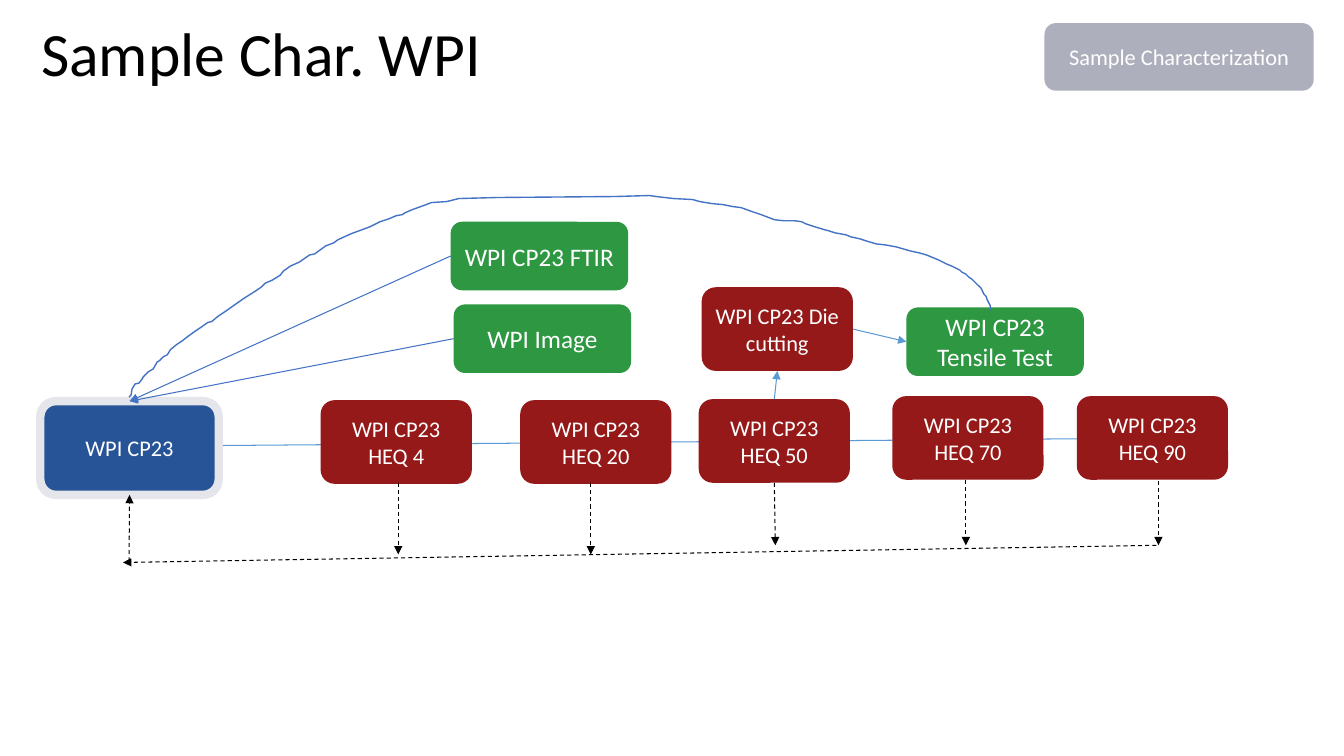
from dataclasses import dataclass
from typing import Optional

from lxml.etree import SubElement
from pptx import Presentation
from pptx.dml.color import RGBColor
from pptx.enum.dml import MSO_LINE
from pptx.enum.shapes import MSO_CONNECTOR, MSO_SHAPE
from pptx.enum.text import MSO_ANCHOR, PP_ALIGN
from pptx.oxml.ns import qn
from pptx.util import Pt

PX = 9144  # EMU in one px, at 100 px to the inch
FONT = "Calibri"

BLACK = RGBColor(0x00, 0x00, 0x00)
WHITE = RGBColor(0xFF, 0xFF, 0xFF)
NAVY = RGBColor(0x27, 0x54, 0x97)
GREEN = RGBColor(0x2D, 0x97, 0x42)
RED = RGBColor(0x95, 0x19, 0x19)
GREY = RGBColor(0xAD, 0xAF, 0xBD)
PALE = RGBColor(0xE5, 0xE6, 0xEB)
BLUE = RGBColor(0x44, 0x72, 0xC4)
SKY = RGBColor(0x5B, 0x9B, 0xD5)

TOP, LEFT, BOTTOM, RIGHT = range(4)


@dataclass
class Box:
    text: str
    x: int
    y: int
    w: int
    h: int
    fill: RGBColor
    size: int = 16
    border: Optional[RGBColor] = None


@dataclass
class Arrow:
    """An arrow; an end given as (box text, side) is joined to that box."""
    start: tuple[int, int]
    end: tuple[int, int]
    color: RGBColor
    dashed: bool = False
    join_start: Optional[tuple[str, int]] = None
    join_end: Optional[tuple[str, int]] = None


def step(text: str, x: int, y: int) -> Box:
    return Box(text, x, y, 150, 83, RED)


def measurement(text: str, x: int, y: int) -> Box:
    return Box(text, x, y, 176, 68, GREEN, 18)


SAMPLE = "WPI CP23"
FTIR, IMAGE, TENSILE = "WPI CP23 FTIR", "WPI Image", "WPI CP23 Tensile Test"
DIE, HEQ50 = "WPI CP23 Die cutting", "WPI CP23 HEQ 50"

BOXES = [
    Box(SAMPLE, 40, 398, 177, 93, NAVY, border=PALE),
    measurement(TENSILE, 899, 305),
    step("WPI CP23 HEQ 4", 318, 397),
    step(DIE, 696, 285),
    step("WPI CP23 HEQ 20", 516, 397),
    step(HEQ50, 693, 396),
    step("WPI CP23 HEQ 70", 885, 393),
    step("WPI CP23 HEQ 90", 1068, 393),
    measurement(FTIR, 447, 220),
    measurement(IMAGE, 450, 302),
    Box("Sample Characterization", 1036, 23, 267, 67, GREY),
]

BACK_ARROWS = [
    Arrow((1147, 541), (122, 558), BLACK, dashed=True),
    Arrow((220, 442), (1103, 435), SKY),
]

DROPS = [(395, 479, 550), (586, 479, 550), (958, 476, 541), (1149, 477, 541)]
FRONT_ARROWS = [
    *(Arrow((x, top), (x, bottom), BLACK, dashed=True) for x, top, bottom in DROPS),
    Arrow((769, 479), (769, 541), BLACK, True, join_start=(HEQ50, BOTTOM)),
    Arrow((128, 557), (128, 491), BLACK, True, join_end=(SAMPLE, BOTTOM)),
    Arrow((769, 396), (771, 368), SKY, join_start=(HEQ50, TOP), join_end=(DIE, BOTTOM)),
    Arrow((846, 327), (899, 339), SKY, join_start=(DIE, RIGHT), join_end=(TENSILE, LEFT)),
    Arrow((447, 254), (128, 398), BLUE, join_start=(FTIR, LEFT), join_end=(SAMPLE, TOP)),
    Arrow((450, 336), (128, 398), BLUE, join_start=(IMAGE, LEFT), join_end=(SAMPLE, TOP)),
]

RETURN_CURVE = [
    (983, 308), (982, 303), (979, 297), (978, 294), (976, 292), (973, 286), (969, 282),
    (964, 277), (961, 275), (958, 272), (954, 270), (952, 268), (944, 264), (939, 262),
    (931, 258), (919, 253), (912, 251), (903, 249), (889, 245), (878, 243), (869, 242),
    (859, 239), (853, 237), (844, 235), (839, 233), (828, 231), (822, 229), (818, 228),
    (808, 225), (799, 222), (795, 220), (788, 219), (777, 219), (768, 218), (755, 213),
    (746, 210), (735, 206), (727, 205), (717, 203), (706, 202), (694, 200), (687, 198),
    (668, 197), (651, 195), (644, 194), (610, 195), (493, 196), (455, 197), (443, 200),
    (428, 201), (420, 204), (409, 208), (402, 211), (399, 213), (393, 214), (386, 217),
    (377, 220), (367, 225), (348, 232), (335, 238), (331, 241), (323, 244), (312, 252),
    (307, 253), (297, 260), (288, 264), (281, 269), (278, 273), (270, 278), (263, 281),
    (259, 285), (253, 289), (242, 296), (232, 303), (225, 308), (216, 314), (210, 319),
    (206, 320), (199, 325), (193, 329), (186, 334), (181, 338), (175, 342), (169, 347),
    (166, 352), (162, 354), (158, 358), (156, 359), (152, 366), (147, 369), (142, 374),
    (141, 376), (138, 380), (134, 381), (131, 386), (130, 392), (128, 394),
]


def write(sp, text: str, *, size: int, color: RGBColor,
          align: PP_ALIGN = PP_ALIGN.CENTER, spacing: float = 1.0) -> None:
    tf = sp.text_frame
    tf.word_wrap = True
    tf.vertical_anchor = MSO_ANCHOR.MIDDLE
    p = tf.paragraphs[0]
    p.alignment = align
    p.line_spacing = spacing
    r = p.add_run()
    r.text = text
    r.font.name = FONT
    r.font.size = Pt(size)
    r.font.color.rgb = color


def add_box(s, box: Box):
    sp = s.shapes.add_shape(MSO_SHAPE.ROUNDED_RECTANGLE,
                            *(v * PX for v in (box.x, box.y, box.w, box.h)))
    sp.shadow.inherit = False
    sp.fill.solid()
    sp.fill.fore_color.rgb = box.fill
    if box.border is None:
        sp.line.fill.background()
    else:
        sp.line.color.rgb = box.border
        sp.line.width = Pt(6)
    write(sp, box.text, size=box.size, color=WHITE)
    return sp


def add_arrow(s, arrow: Arrow, shapes: dict) -> None:
    ends = (*arrow.start, *arrow.end)
    cxn = s.shapes.add_connector(MSO_CONNECTOR.STRAIGHT, *(v * PX for v in ends))
    if arrow.join_start:
        name, side = arrow.join_start
        cxn.begin_connect(shapes[name], side)
    if arrow.join_end:
        name, side = arrow.join_end
        cxn.end_connect(shapes[name], side)
    cxn.line.color.rgb = arrow.color
    cxn.line.width = Pt(0.75)
    if arrow.dashed:
        cxn.line.dash_style = MSO_LINE.DASH
    SubElement(cxn.line._get_or_add_ln(), qn("a:tailEnd"), type="triangle")
    SubElement(cxn._element.spPr, qn("a:effectLst"))


def add_curve(s, points: list[tuple[int, int]]) -> None:
    builder = s.shapes.build_freeform(*points[0], scale=PX)
    builder.add_line_segments(points[1:], close=False)
    sp = builder.convert_to_shape()
    sp.shadow.inherit = False
    sp.fill.background()
    sp.line.color.rgb = BLUE
    sp.line.width = Pt(1)


def main() -> None:
    prs = Presentation()
    prs.slide_width, prs.slide_height = 1333 * PX, 750 * PX
    s = prs.slides.add_slide(prs.slide_layouts[6])
    shapes = {}
    for arrow in BACK_ARROWS:
        add_arrow(s, arrow, shapes)
    title = s.shapes.add_textbox(*(v * PX for v in (31, -16, 1150, 145)))
    write(title, "Sample Char. WPI", size=44, color=BLACK, align=PP_ALIGN.LEFT, spacing=0.9)
    for box in BOXES:
        shapes[box.text] = add_box(s, box)
    for arrow in FRONT_ARROWS:
        add_arrow(s, arrow, shapes)
    add_curve(s, RETURN_CURVE)
    prs.save("out.pptx")


if __name__ == "__main__":
    main()
